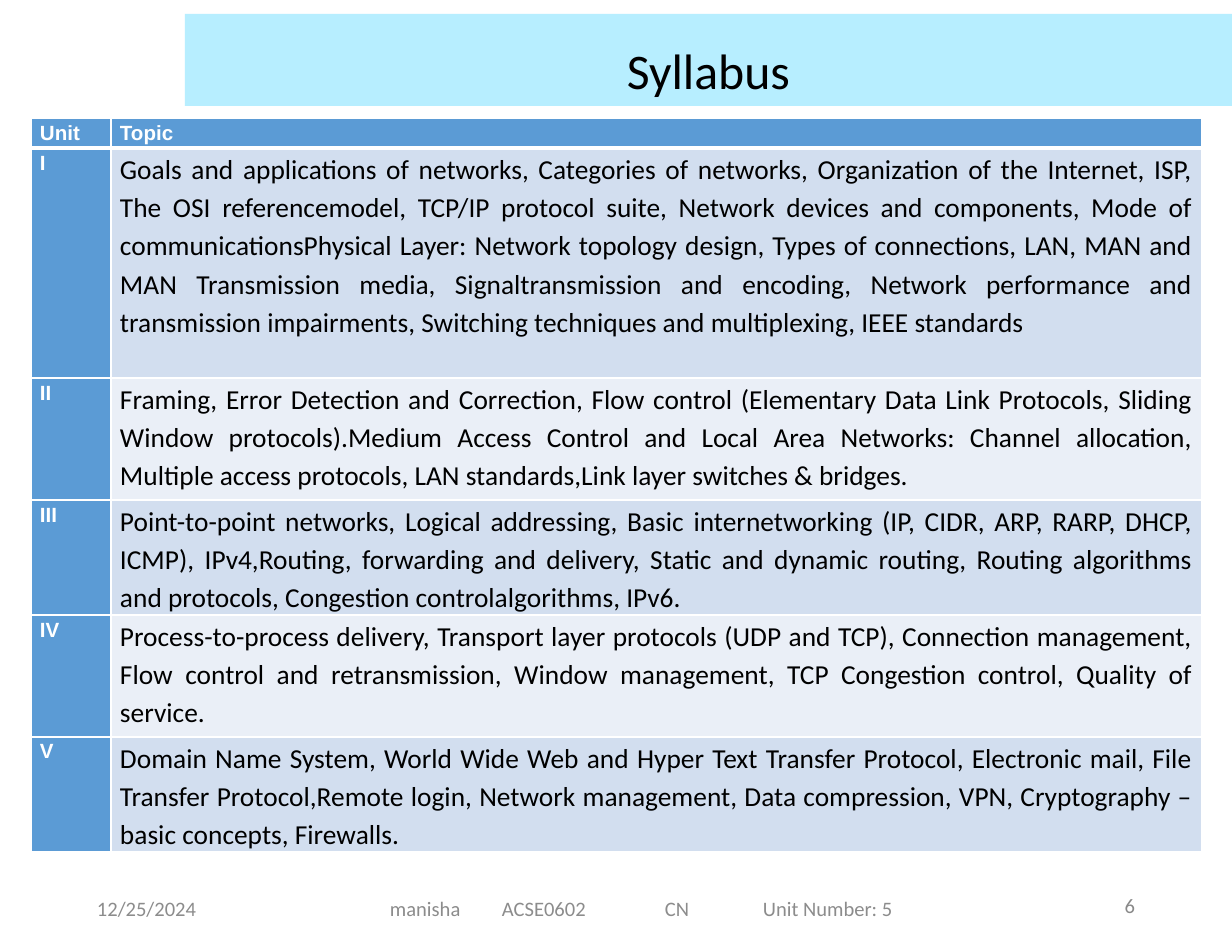
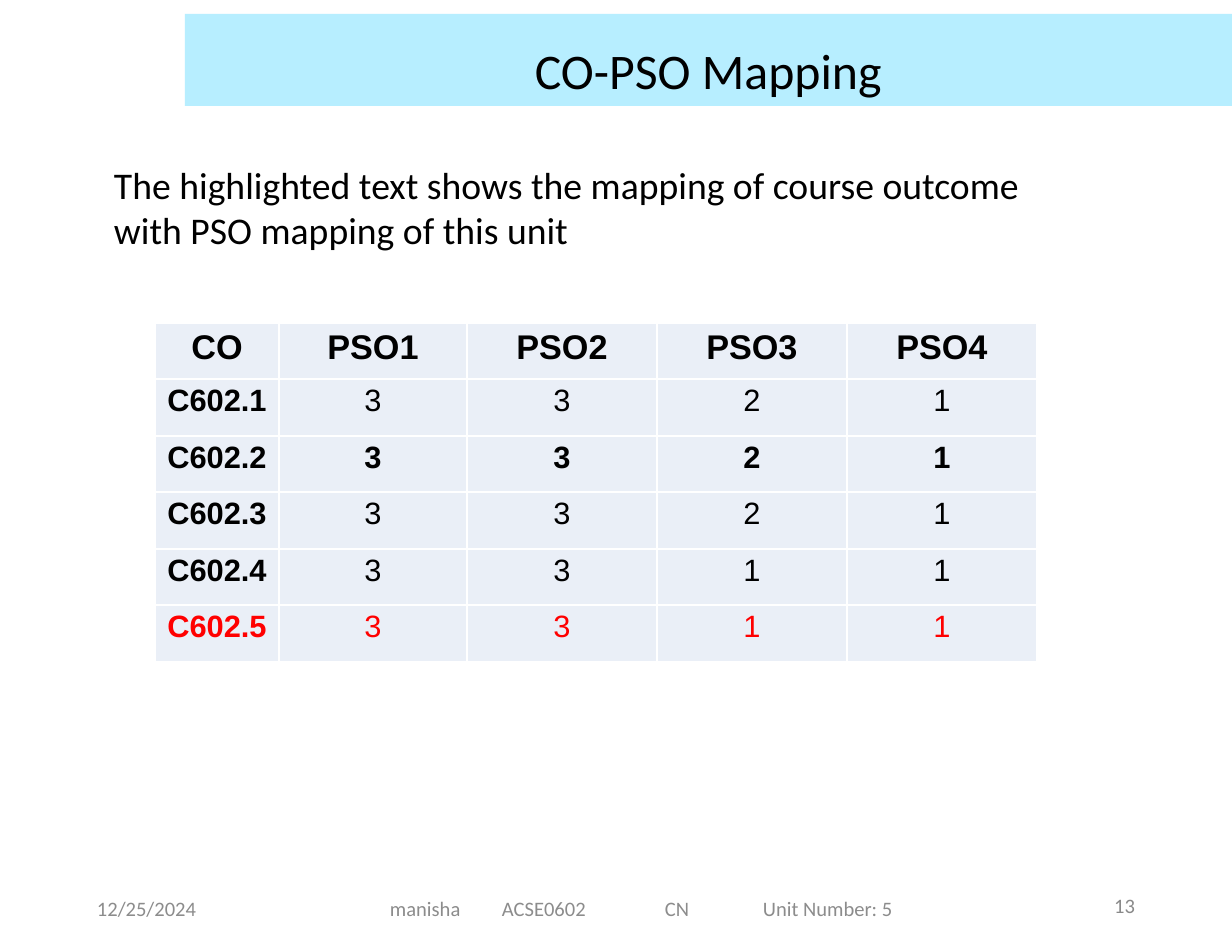
import pptx
import pptx.dml.color
import pptx.enum.shapes
import pptx.enum.text
import pptx.oxml.ns
import pptx.util
import lxml.etree

SCALE = 914400 / 112  # EMU in one px
COLORS = {
    "black": "000000", "white": "FFFFFF", "red": "FF0000",
    "band": "B7EEFF", "header": "5B9BD5", "dark row": "D2DEEF",
    "light row": "EAEFF7", "footer": "8C8C8C", "number": "898989",
}
ALIGN = pptx.enum.text.PP_ALIGN
ANCHOR = pptx.enum.text.MSO_ANCHOR

SYLLABUS = [
    ("I", "Goals and applications of networks, Categories of networks, Organization of the Internet, ISP, "
          "The OSI referencemodel, TCP/IP protocol suite, Network devices and components, Mode of "
          "communicationsPhysical Layer: Network topology design, Types of connections, LAN, MAN and "
          "MAN Transmission media, Signaltransmission and encoding, Network performance and "
          "transmission impairments, Switching techniques and multiplexing, IEEE standards"),
    ("II", "Framing, Error Detection and Correction, Flow control (Elementary Data Link Protocols, Sliding "
           "Window protocols).Medium Access Control and Local Area Networks: Channel allocation, "
           "Multiple access protocols, LAN standards,Link layer switches & bridges."),
    ("III", "Point-to-point networks, Logical addressing, Basic internetworking (IP, CIDR, ARP, RARP, DHCP, "
            "ICMP), IPv4,Routing, forwarding and delivery, Static and dynamic routing, Routing algorithms "
            "and protocols, Congestion controlalgorithms, IPv6."),
    ("IV", "Process-to-process delivery, Transport layer protocols (UDP and TCP), Connection management, "
           "Flow control and retransmission, Window management, TCP Congestion control, Quality of service."),
    ("V", "Domain Name System, World Wide Web and Hyper Text Transfer Protocol, Electronic mail, File "
          "Transfer Protocol,Remote login, Network management, Data compression, VPN, Cryptography – "
          "basic concepts, Firewalls."),
]
OUTCOMES = [
    ("CO", "PSO1", "PSO2", "PSO3", "PSO4"),
    ("C602.1", "3", "3", "2", "1"),
    ("C602.2", "3", "3", "2", "1"),
    ("C602.3", "3", "3", "2", "1"),
    ("C602.4", "3", "3", "1", "1"),
    ("C602.5", "3", "3", "1", "1"),
]


def emu(px):
    return pptx.util.Emu(round(px * SCALE))


def rgb(name):
    return pptx.dml.color.RGBColor.from_string(COLORS[name])


def write(frame, text, size=13.2, font="Calibri", color="black", bold=False,
          align=ALIGN.LEFT, spacing=None, after=None, tabs=()):
    """Put one formatted paragraph in a text frame; tabs are px from the text edge."""
    frame.word_wrap = True
    paragraph = frame.paragraphs[0]
    if tabs:
        properties = paragraph._p.get_or_add_pPr()
        tab_list = lxml.etree.SubElement(properties, pptx.oxml.ns.qn("a:tabLst"))
        for tab in tabs:
            lxml.etree.SubElement(tab_list, pptx.oxml.ns.qn("a:tab"), pos=str(emu(tab)), algn="l")
    paragraph.alignment = align
    if spacing is not None:
        paragraph.line_spacing = spacing
    if after is not None:
        paragraph.space_after = pptx.util.Pt(after)
    run = paragraph.add_run()
    run.text = text
    run.font.size = pptx.util.Pt(size)
    run.font.name = font
    run.font.bold = bold
    run.font.color.rgb = rgb(color)


def add_borders(cell, top=1, bottom=1):
    """Draw white cell borders, with widths in points."""
    properties = cell._tc.get_or_add_tcPr()
    for side, width in (("L", 1), ("R", 1), ("T", top), ("B", bottom)):
        line = lxml.etree.SubElement(properties, pptx.oxml.ns.qn(f"a:ln{side}"),
                                     w=str(pptx.util.Pt(width)))
        fill = lxml.etree.SubElement(line, pptx.oxml.ns.qn("a:solidFill"))
        lxml.etree.SubElement(fill, pptx.oxml.ns.qn("a:srgbClr"), val=COLORS["white"])


class Deck:
    """Holds the shared style and the current slide."""

    def __init__(self):
        self.presentation = pptx.Presentation()
        self.presentation.slide_width = emu(1232)
        self.presentation.slide_height = emu(952)
        self.slide = None

    def add_slide(self, title, number):
        self.slide = self.presentation.slides.add_slide(self.presentation.slide_layouts[6])
        self.add_band(title)
        self.add_footer(85, 883, 139, 50, "12/25/2024")
        self.add_footer(302, 884, 678, 49, "manisha\tACSE0602\tCN\tUnit Number: 5",
                        inset=88, tabs=(112, 275, 373))
        self.add_footer(1071, 880, 76, 50, number, color="number", align=ALIGN.RIGHT)

    def add_band(self, title):
        band = self.slide.shapes.add_shape(pptx.enum.shapes.MSO_SHAPE.RECTANGLE,
                                           emu(185), emu(14), emu(1047), emu(92))
        band.shadow.inherit = False
        band.fill.solid()
        band.fill.fore_color.rgb = rgb("band")
        band.line.fill.background()
        band.text_frame.vertical_anchor = ANCHOR.BOTTOM
        write(band.text_frame, title, size=32, align=ALIGN.CENTER, spacing=0.9)

    def add_text(self, left, top, width, height, text, **text_format):
        box = self.slide.shapes.add_textbox(emu(left), emu(top), emu(width), emu(height))
        write(box.text_frame, text, **text_format)
        return box.text_frame

    def add_footer(self, left, top, width, height, text, inset=12, color="footer", **text_format):
        frame = self.add_text(left, top, width, height, text, color=color, **text_format)
        frame.vertical_anchor = ANCHOR.MIDDLE
        frame.margin_left, frame.margin_right = emu(inset), emu(12)
        frame.margin_top = frame.margin_bottom = emu(7)

    def add_table(self, left, top, widths, heights):
        frame = self.slide.shapes.add_table(len(heights), len(widths), emu(left), emu(top),
                                            emu(sum(widths)), emu(sum(heights)))
        table = frame.table
        table.first_row = table.horz_banding = False
        for column, width in zip(table.columns, widths):
            column.width = emu(width)
        for row, height in zip(table.rows, heights):
            row.height = emu(height)
        return table

    def fill_cell(self, cell, text, fill, top=1, bottom=1, **text_format):
        add_borders(cell, top, bottom)
        cell.fill.solid()
        cell.fill.fore_color.rgb = rgb(fill)
        cell.margin_left = cell.margin_right = emu(9)
        cell.margin_top = cell.margin_bottom = 0
        write(cell.text_frame, text, spacing=1.15, **text_format)


def build_syllabus(deck):
    deck.add_slide("Syllabus", "6")
    table = deck.add_table(31, 118, [80, 1091], [30, 230, 122, 115, 122, 115])
    heading = {"fill": "header", "font": "Arial", "color": "white", "bold": True}
    for column, text in enumerate(("Unit", "Topic")):
        deck.fill_cell(table.cell(0, column), text, bottom=3, **heading)
    for row, (unit, topic) in enumerate(SYLLABUS, start=1):
        top = 3 if row == 1 else 1
        fill = "dark row" if row % 2 else "light row"
        deck.fill_cell(table.cell(row, 0), unit, top=top, align=ALIGN.JUSTIFY, **heading)
        deck.fill_cell(table.cell(row, 1), topic, fill, top=top, size=17.6, align=ALIGN.JUSTIFY)


def build_mapping(deck):
    deck.add_slide("CO-PSO Mapping", "13")
    frame = deck.add_text(103, 156, 996, 102, "The highlighted text shows the mapping of course "
                          "outcome with PSO mapping of this unit", size=24.2)
    frame.auto_size = pptx.enum.text.MSO_AUTO_SIZE.SHAPE_TO_FIT_TEXT
    table = deck.add_table(155, 323, [124, 188, 190, 190, 190], [56, 57] * 3)
    for row, values in enumerate(OUTCOMES):
        for column, value in enumerate(values):
            deck.fill_cell(table.cell(row, column), value, "light row", font="Arial",
                           size=19.8 if row else 22,
                           bold=row in (0, 2) or column == 0,
                           color="red" if values[0] == "C602.5" else "black",
                           align=ALIGN.CENTER, after=10)


def main():
    deck = Deck()
    build_syllabus(deck)
    build_mapping(deck)
    deck.presentation.save("out.pptx")


if __name__ == "__main__":
    main()
